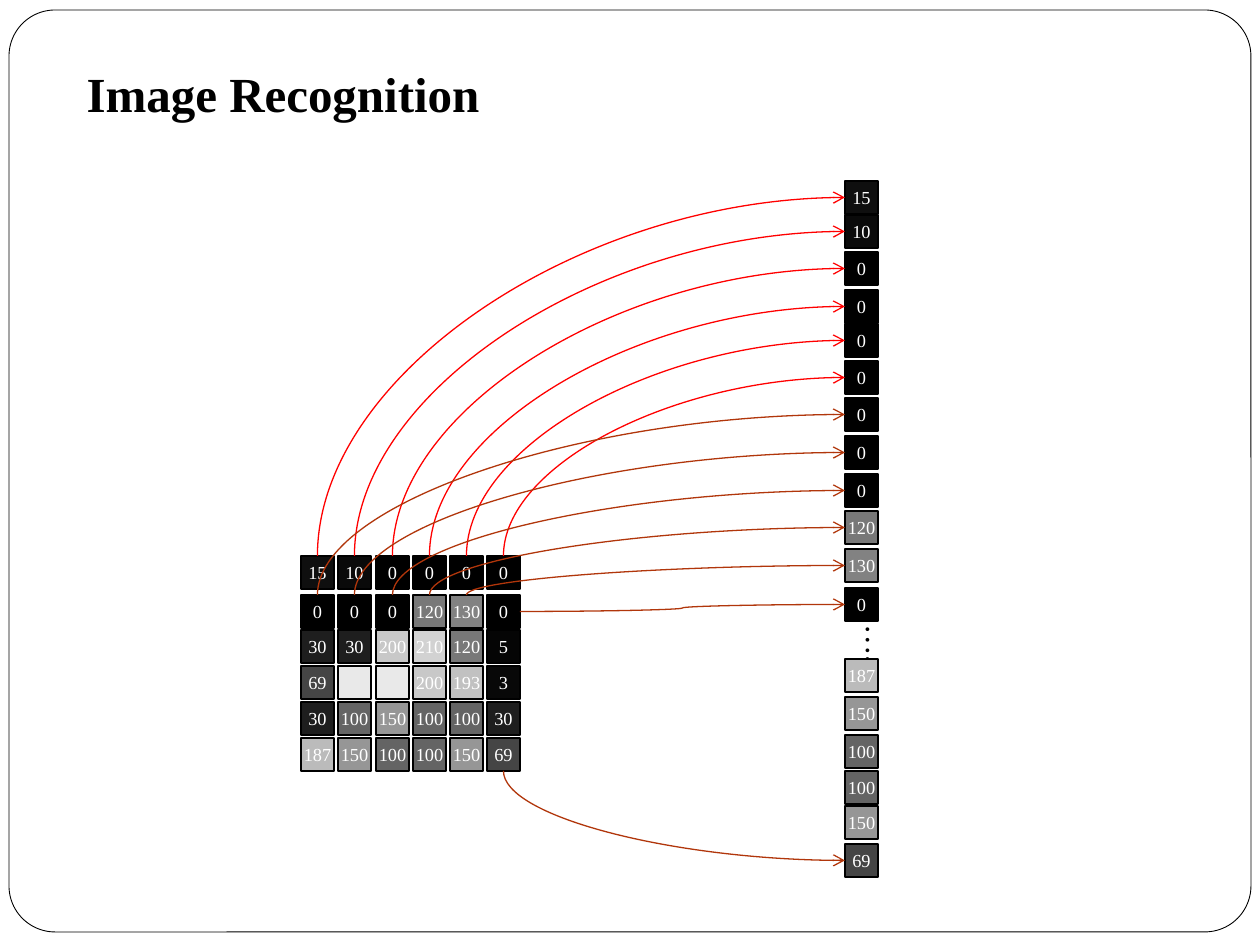
from lxml.etree import SubElement
from pptx import Presentation
from pptx.dml.color import RGBColor
from pptx.enum.shapes import MSO_CONNECTOR, MSO_SHAPE
from pptx.enum.text import MSO_ANCHOR, MSO_AUTO_SIZE, PP_ALIGN
from pptx.oxml.ns import qn
from pptx.util import Emu, Pt

PX_PER_INCH = 126
FONT = "Times New Roman"
BLACK = RGBColor(0x00, 0x00, 0x00)
WHITE = RGBColor(0xFF, 0xFF, 0xFF)
RED = RGBColor(0xFF, 0x00, 0x00)
RUST = RGBColor(0xB1, 0x36, 0x0B)

# Pixel matrix and its geometry
PIXELS = [
    [15, 10, 0, 0, 0, 0],
    [0, 0, 0, 120, 130, 0],
    [30, 30, 200, 210, 120, 5],
    [69, 233, 233, 200, 193, 3],
    [30, 100, 150, 100, 100, 30],
    [187, 150, 100, 100, 150, 69],
]
SHADE_EXCEPTIONS = {3: 8}
BRIGHTEST_LABELLED = 210
CELL = 33
COLUMN_LEFTS = [round(301 + 37.25 * column) for column in range(6)]
ROW_TOPS = [556, 595, 630, 666, 702, 738]

# Flattened vector: the first two rows, then the last row
VECTOR_LEFT = 845
VECTOR_TOPS = [181, 215, 252, 290, 324, 361, 398, 436, 474, 511, 549, 588,
               659, 697, 735, 771, 806, 844]


def px(length):
    return Emu(round(length * 914400 / PX_PER_INCH))


def write_text(shape, text, size, color=BLACK, bold=False, align=PP_ALIGN.LEFT,
               anchor=MSO_ANCHOR.TOP, wrap=True, auto_size=MSO_AUTO_SIZE.NONE):
    frame = shape.text_frame
    frame.word_wrap = wrap
    frame.auto_size = auto_size
    frame.vertical_anchor = anchor
    para = frame.paragraphs[0]
    para.alignment = align
    span = para.add_run()
    span.text = text
    span.font.name = FONT
    span.font.size = Pt(size)
    span.font.bold = bold
    span.font.color.rgb = color


def add_box(page, kind, left, top, width, height, fill, line_width):
    box = page.shapes.add_shape(kind, px(left), px(top), px(width), px(height))
    box.shadow.inherit = False
    box.fill.solid()
    box.fill.fore_color.rgb = fill
    box.line.color.rgb = BLACK
    box.line.width = Pt(line_width)
    return box


def add_frame(page):
    frame = add_box(page, MSO_SHAPE.ROUNDED_RECTANGLE, 9, 10, 1242, 922, WHITE, 0.5)
    frame.adjustments[0] = 0.05
    # Behind the title
    page.shapes._spTree.insert(2, frame._element)


def add_title(page):
    title = page.shapes.title
    title.left, title.top, title.width, title.height = px(74), px(57), px(1071), px(108)
    write_text(title, "Image Recognition", 28, bold=True)


def add_pixel(page, left, top, value):
    shade = SHADE_EXCEPTIONS.get(value, value)
    box = add_box(page, MSO_SHAPE.RECTANGLE, left, top, CELL, CELL,
                  RGBColor(shade, shade, shade), 0.75)
    # White figures cannot be read on the brightest pixels
    if value <= BRIGHTEST_LABELLED:
        write_text(box, str(value), 10.5, color=WHITE, align=PP_ALIGN.CENTER,
                   anchor=MSO_ANCHOR.MIDDLE, wrap=False)


def add_ellipsis(page):
    box = page.shapes.add_textbox(px(841), px(612), px(63), px(50))
    write_text(box, "…..", 18, wrap=False, auto_size=MSO_AUTO_SIZE.SHAPE_TO_FIT_TEXT)
    box.text_frame._txBody.bodyPr.set("vert", "eaVert")


def add_curve(page, begin, end, color):
    curve = page.shapes.add_connector(MSO_CONNECTOR.CURVE, px(begin[0]), px(begin[1]),
                                      px(end[0]), px(end[1]))
    curve.line.color.rgb = color
    curve.line.width = Pt(0.75)
    SubElement(curve.line._get_or_add_ln(), qn("a:tailEnd"), type="arrow")
    SubElement(curve._element.spPr, qn("a:effectLst"))
    return curve


def add_quarter_curve(page, begin, end, color):
    """Leave begin vertically and reach end from the left."""
    middle_x, middle_y = (begin[0] + end[0]) / 2, (begin[1] + end[1]) / 2
    half_run, half_rise = (end[0] - begin[0]) / 2, abs(end[1] - begin[1]) / 2
    rising = end[1] < begin[1]
    # The box before its quarter turn has run and rise swapped
    side = half_run if rising else -half_run
    curve = add_curve(page, (middle_x + half_rise, middle_y + side),
                      (middle_x - half_rise, middle_y - side), color)
    properties = curve._element.spPr
    properties.find(qn("a:xfrm")).set("rot", str((90 if rising else 270) * 60000))
    properties.find(qn("a:prstGeom")).set("prst", "curvedConnector2")


def add_curves(page):
    half = CELL / 2
    targets = [(VECTOR_LEFT, top + half) for top in VECTOR_TOPS]
    centers = [left + half for left in COLUMN_LEFTS]
    # First row
    for center, target in zip(centers, targets):
        add_quarter_curve(page, (center, ROW_TOPS[0]), target, RED)
    # Second row, whose last pixel leaves sideways
    for center, target in zip(centers[:5], targets[6:]):
        add_quarter_curve(page, (center, ROW_TOPS[1]), target, RUST)
    add_curve(page, (COLUMN_LEFTS[5] + CELL, ROW_TOPS[1] + half), targets[11], RUST)
    # Last pixel
    add_quarter_curve(page, (centers[5], ROW_TOPS[5] + CELL), targets[-1], RUST)


def main():
    deck = Presentation()
    deck.slide_width, deck.slide_height = px(1260), px(945)
    page = deck.slides.add_slide(deck.slide_layouts[5])
    add_frame(page)
    add_title(page)
    add_ellipsis(page)
    for top, row in zip(ROW_TOPS, PIXELS):
        for left, value in zip(COLUMN_LEFTS, row):
            add_pixel(page, left, top, value)
    for top, value in zip(VECTOR_TOPS, PIXELS[0] + PIXELS[1] + PIXELS[-1]):
        add_pixel(page, VECTOR_LEFT, top, value)
    add_curves(page)
    deck.save("out.pptx")


if __name__ == "__main__":
    main()
